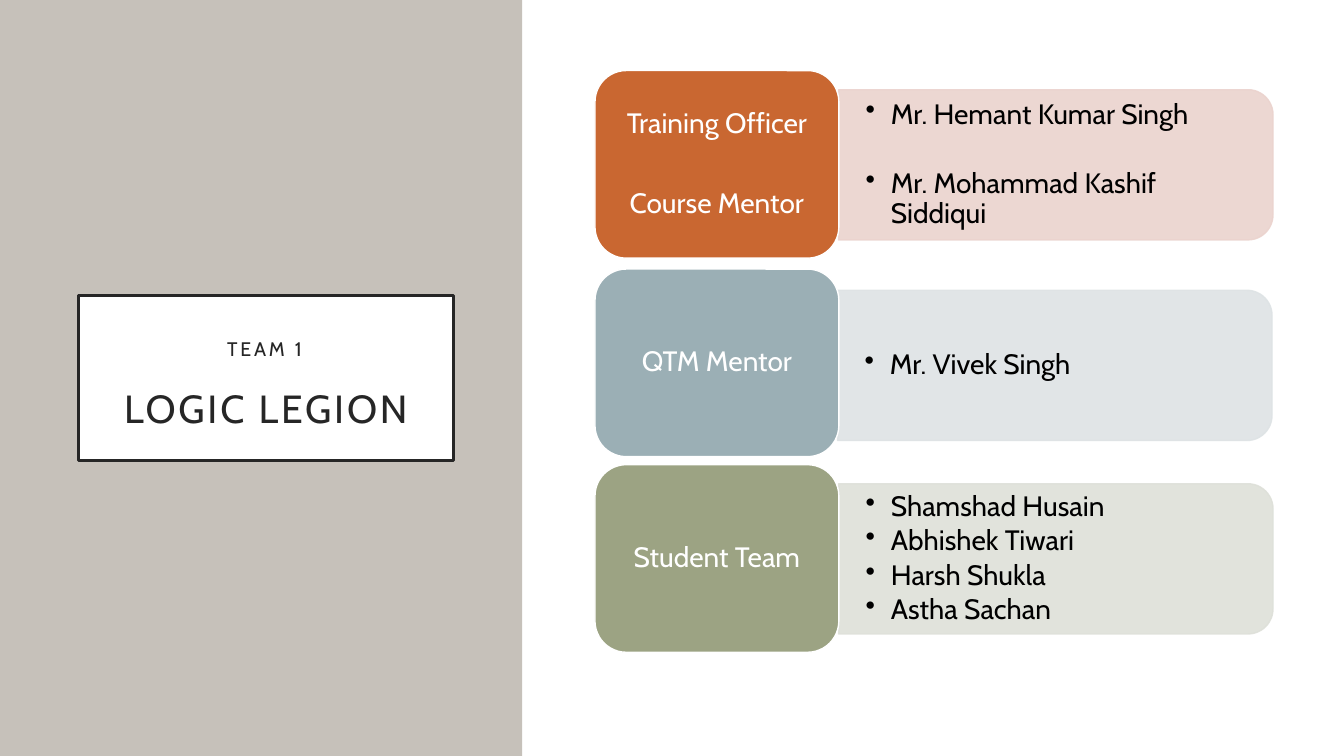
import pptx
import pptx.util
import pptx.dml.color
import pptx.enum.shapes
import pptx.enum.text
import pptx.oxml
import pptx.oxml.ns

Pt = pptx.util.Pt
SHAPE = pptx.enum.shapes.MSO_SHAPE
ALIGN = pptx.enum.text.PP_ALIGN
COLORS = {
    "panel": "C6C1BA", "white": "FFFFFF", "ink": "262626", "black": "000000",
    "rust": "C96731", "blush": "EBD3CE",
    "blue": "9BAFB5", "mist": "DEE3E5",
    "olive": "9CA383", "sage": "DEE0D9",
}


class Deck:
    font = "Cabin"
    size = 20

    def __init__(self, wide, high):
        self.file = pptx.Presentation()
        self.file.slide_width, self.file.slide_height = Pt(wide), Pt(high)
        self.slide = self.file.slides.add_slide(self.file.slide_layouts[6])

    def color(self, name):
        return pptx.dml.color.RGBColor.from_string(COLORS[name])

    def shape(self, kind, box, fill, line=None, width=1):
        item = self.slide.shapes.add_shape(kind, *map(Pt, box))
        item.shadow.inherit = False
        item.fill.solid()
        item.fill.fore_color.rgb = self.color(fill)
        if line:
            item.line.color.rgb = self.color(line)
            item.line.width = Pt(width)
        else:
            item.line.fill.background()
        return item

    def bar(self, left, mid, long, high, fill):
        """Draw a see-through bar rounded at its right end."""
        box = (left + (long - high) / 2, mid - long / 2, high, long)
        item = self.shape(SHAPE.ROUND_2_SAME_RECTANGLE, box, fill, fill)
        item.rotation = 90
        tag = pptx.oxml.ns.qn("a:srgbClr")
        for tint in item.element.spPr.iter(tag):
            tint.append(pptx.oxml.parse_xml(
                '<a:alpha %s val="90000"/>' % pptx.oxml.ns.nsdecls("a")))

    def frame(self, item, side, top):
        frame = item.text_frame
        frame.word_wrap = True
        frame.vertical_anchor = pptx.enum.text.MSO_ANCHOR.MIDDLE
        frame.margin_left = frame.margin_right = Pt(side)
        frame.margin_top = frame.margin_bottom = Pt(top)
        return frame

    def run(self, para, text, color, size=None, space=0):
        run = para.add_run()
        run.text = text
        run.font.name = self.font
        run.font.size = Pt(size or self.size)
        run.font.color.rgb = self.color(color)
        if space:
            run.font._element.set("spc", str(space * 100))

    def lines(self, frame, texts, color, gap, bullet=False):
        for i, text in enumerate(texts):
            para = frame.add_paragraph() if i else frame.paragraphs[0]
            para.line_spacing = 0.9
            para.space_before = Pt(gap if i else 0)
            para.alignment = ALIGN.LEFT if bullet else ALIGN.CENTER
            if bullet:
                props = para._p.get_or_add_pPr()
                props.set("marL", str(Pt(18)))
                props.set("indent", str(-Pt(18)))
                props.append(pptx.oxml.parse_xml(
                    '<a:buChar %s char="•"/>' % pptx.oxml.ns.nsdecls("a")))
            self.run(para, text, color)

    def label(self, box, texts, fill):
        item = self.shape(SHAPE.ROUNDED_RECTANGLE, box, fill, "white")
        self.lines(self.frame(item, 12, 9), texts, "white", 35.7)

    def names(self, box, texts, gap):
        item = self.slide.shapes.add_textbox(*map(Pt, box))
        self.lines(self.frame(item, 19.4, 10), texts, "black", gap, True)

    def title(self, box, small, large):
        item = self.shape(SHAPE.RECTANGLE, box, "white", "ink", 2.5)
        para = self.frame(item, 14.4, 14.4).paragraphs[0]
        para.alignment = ALIGN.CENTER
        para.line_spacing = 1.5
        self.run(para, small, "ink", 14, 2)
        para.add_line_break()
        self.run(para, large, "ink", 28, 2)


# label middle, bar middle, bar left, label fill, bar fill, labels, names, gap
ROWS = [
    (117.4, 117.7, 599, "rust", "blush", ["Training Officer", "Course Mentor"],
     ["Mr. Hemant Kumar Singh", "Mr. Mohammad Kashif Siddiqui"], 27.9),
    (259.2, 261, 598.3, "blue", "mist", ["QTM Mentor"],
     ["Mr. Vivek Singh"], 3),
    (398.9, 399.2, 599, "olive", "sage", ["Student Team"],
     ["Shamshad Husain", "Abhishek Tiwari", "Harsh Shukla", "Astha Sachan"], 3),
]


def main():
    deck = Deck(960, 540)
    deck.shape(SHAPE.RECTANGLE, (0, 0, 373, 540), "panel")
    deck.title((56, 211, 268, 118), "TEAM 1", "LOGIC LEGION")
    for mid, center, left, dark, pale, roles, people, gap in ROWS:
        deck.bar(left, center, 310.3, 107.3, pale)
        deck.names((left, center - 48.3, 304.6, 96.6), people, gap)
        deck.label((425, mid - 67, 174.2, 134), roles, dark)
    deck.file.save("out.pptx")


if __name__ == "__main__":
    main()
